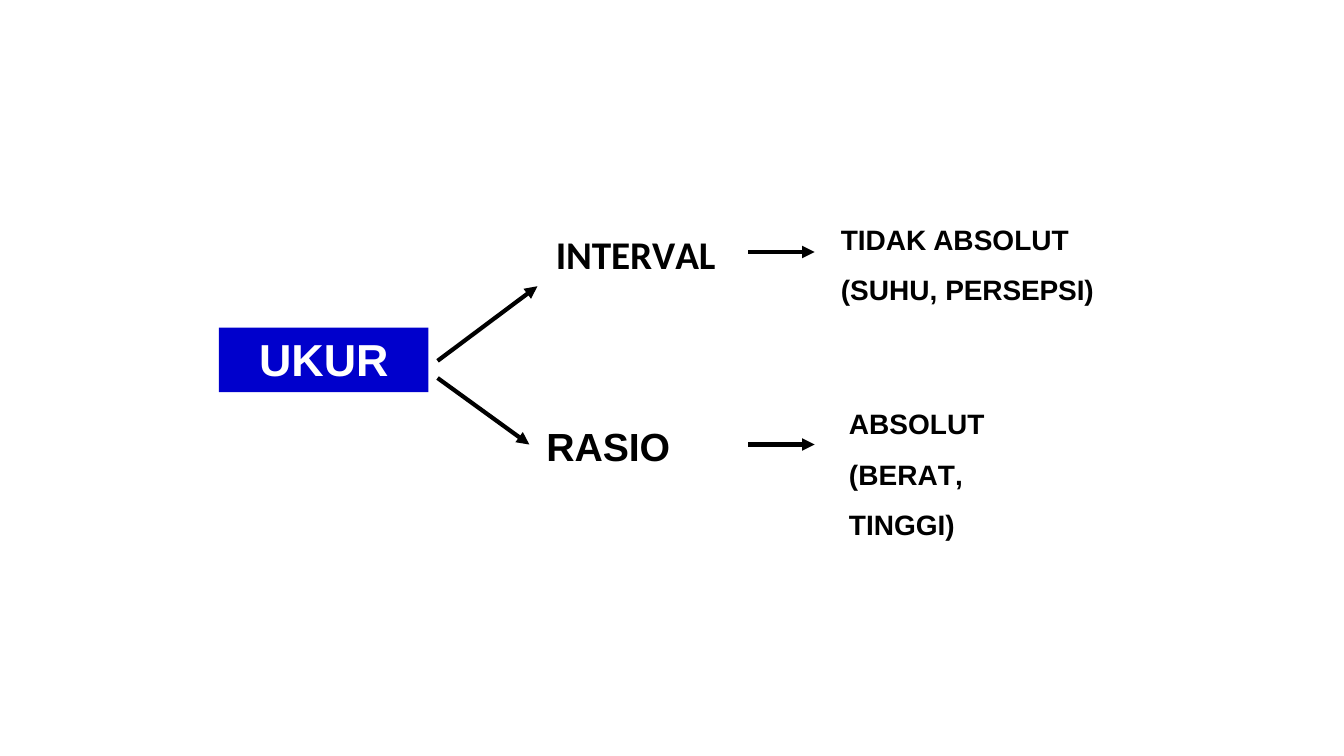
from lxml.etree import SubElement as Sub
from pptx import Presentation
from pptx.dml.color import RGBColor
from pptx.enum.shapes import MSO_CONNECTOR as Conn, MSO_SHAPE as Kind
from pptx.enum.text import MSO_ANCHOR as Anchor, PP_ALIGN as Align
from pptx.oxml.ns import qn
from pptx.util import Inches, Pt

BLUE = RGBColor(0x00, 0x00, 0xCC)
WHITE = RGBColor(0xFF, 0xFF, 0xFF)
BLACK = RGBColor(0x00, 0x00, 0x00)
TIP = 7.42


def write(frame, lines, size, font="Arial", color=BLACK, align=Align.LEFT,
          space=1.0, before=1, inset=0.01):
    frame.word_wrap = True
    frame.margin_left = frame.margin_right = frame.margin_bottom = 0
    frame.margin_top = Inches(inset)
    para = frame.paragraphs[0]
    para.alignment = align
    para.line_spacing = space
    para.space_before = Pt(before)
    for row, line in enumerate(lines):
        if row:
            para.add_line_break()
        for text, track in line:
            run = para.add_run()
            run.text = text
            run.font.name = font
            run.font.size = Pt(size)
            run.font.bold = True
            run.font.color.rgb = color
            if track:
                run.font._element.set("spc", str(round(track * 100)))


def label(slide, left, top, width, height, lines, size, **style):
    box = slide.shapes.add_textbox(*map(Inches, (left, top, width, height)))
    write(box.text_frame, lines, size, **style)


def arrow(slide, *ends):
    link = slide.shapes.add_connector(Conn.STRAIGHT, *map(Inches, ends))
    link.line.color.rgb = BLACK
    link.line.width = Pt(3)
    Sub(link.line._get_or_add_ln(), qn("a:tailEnd"), type="triangle")
    Sub(link._element.spPr, qn("a:effectLst"))


def root(slide, left, top, width, height):
    box = slide.shapes.add_shape(Kind.RECTANGLE, *map(Inches, (left, top, width, height)))
    box.shadow.inherit = False
    box.fill.solid()
    box.fill.fore_color.rgb = BLUE
    box.line.fill.background()
    box.text_frame.vertical_anchor = Anchor.TOP
    write(box.text_frame, [[("UKUR", 0)]], 32, color=WHITE, before=2.6, inset=0.04)
    box.text_frame.margin_left = Inches(0.4)
    start = left + width + 0.09
    arrow(slide, start, top + 0.33, start + 0.99, top - 0.41)
    arrow(slide, start, top + 0.5, start + 0.91, top + 1.16)


def branch(slide, left, top, width, height, drop, wide, name, note, **style):
    label(slide, left, top + drop, wide, 0.49, [name], 28, **style)
    mid = top + drop + 0.23
    arrow(slide, TIP, mid, TIP + 0.66, mid)
    label(slide, left + 3, top, width - 3, height, note, 20, space=1.5)


deck = Presentation()
deck.slide_width = Inches(13.33)
deck.slide_height = Inches(7.5)
slide = deck.slides.add_slide(deck.slide_layouts[6])

root(slide, 2.17, 3.25, 2.08, 0.64)
branch(slide, 5.34, 2.03, 5.6, 1.03, 0.24, 1.93,
       [("INTE", -0.1), ("R", -0.6), ("V", -2.1), ("AL", -0.1)],
       [[("TIDAK ABSOLUT", 0)], [("(SUHU, ", 0), ("PERSEPSI)", -0.1)]],
       font="Calibri", align=Align.CENTER)
branch(slide, 5.42, 3.86, 5.23, 1.53, 0.32, 1.26,
       [("RA", -0.1), ("S", -0.2), ("IO", -0.1)],
       [[("ABSOLUT", 0)],
        [("(", 0), ("B", 0.1), ("ER", 0), ("A", -1.4), ("T", -2.2), (",", 0)],
        [("TINGGI)", 0)]])

deck.save("out.pptx")
